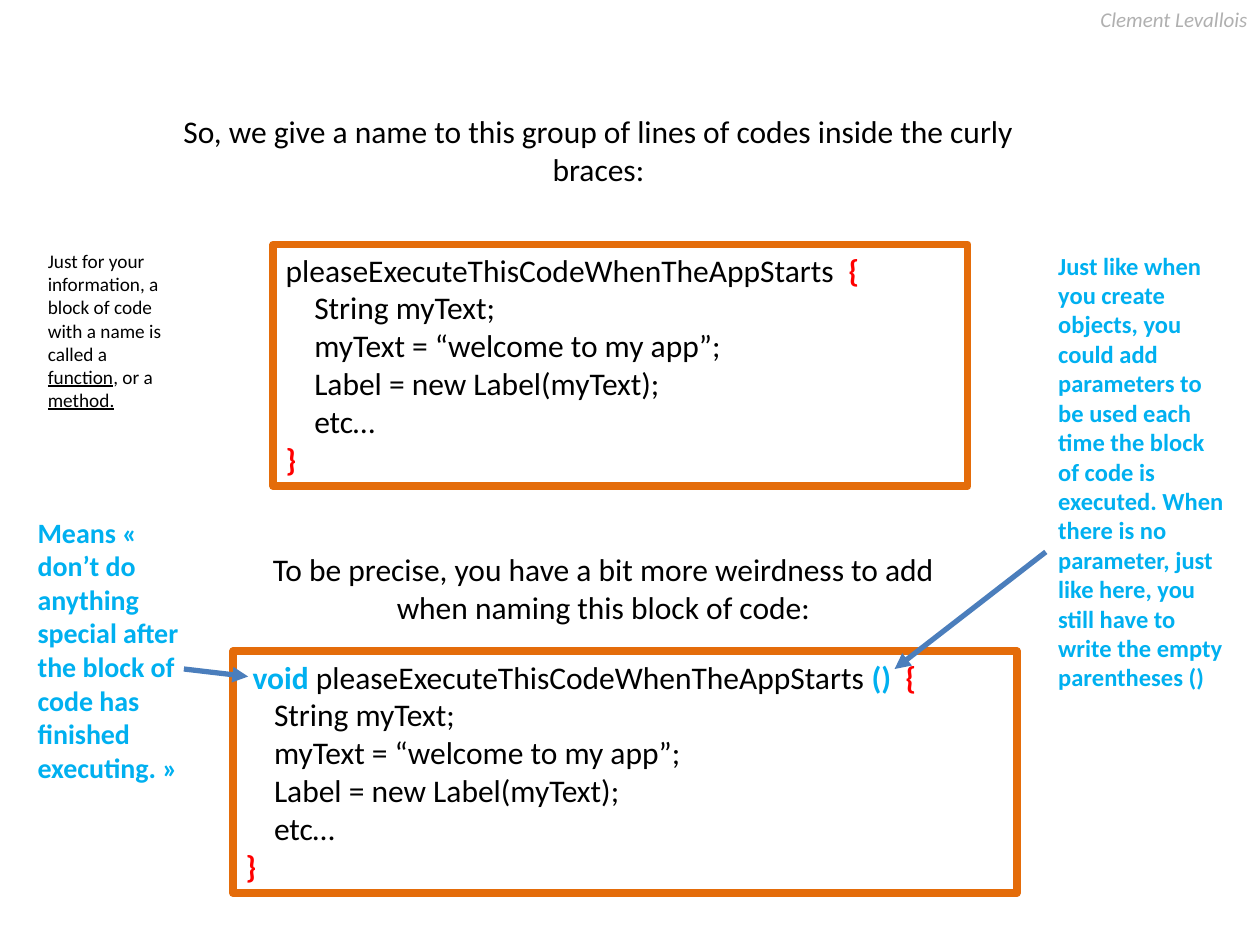
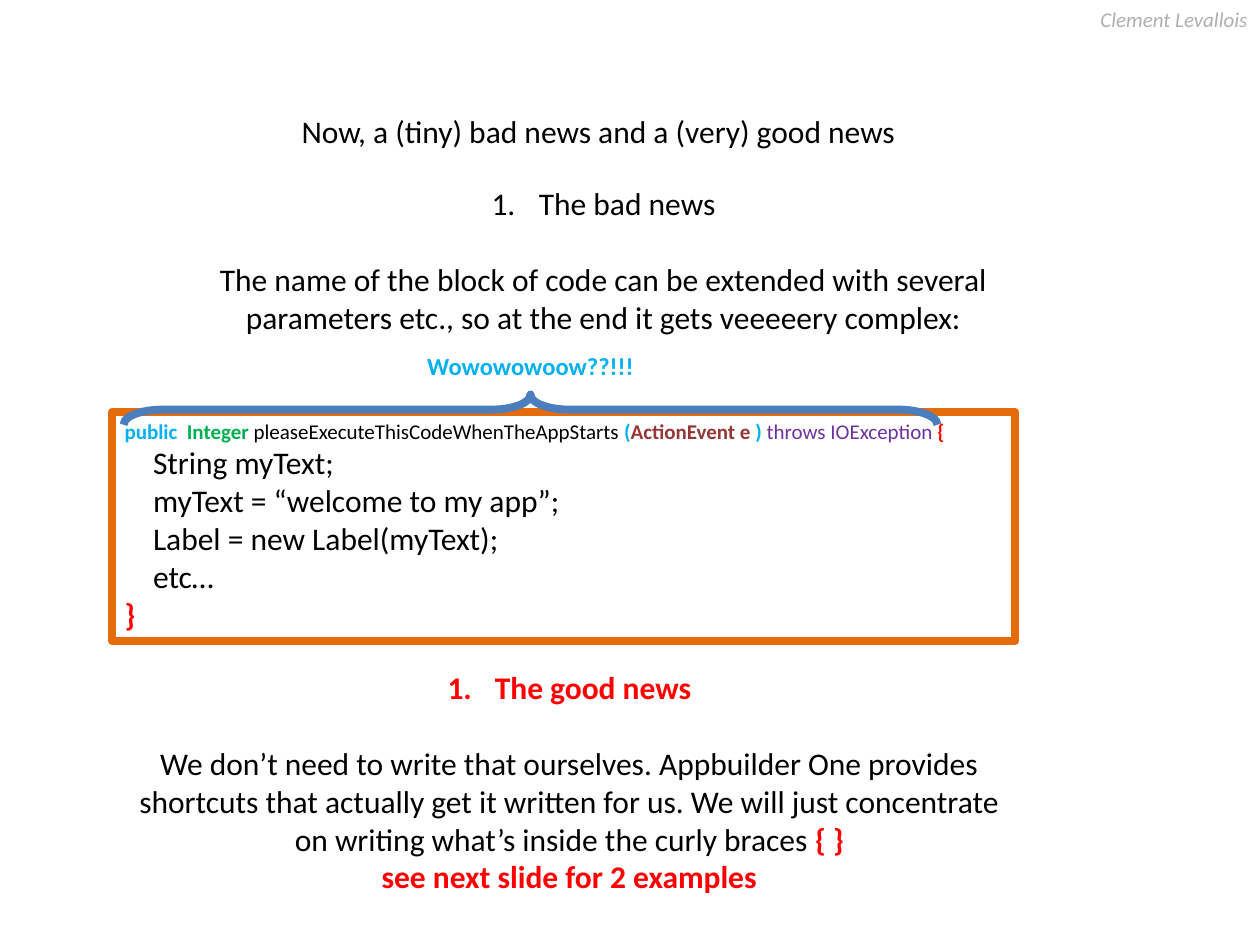
from dataclasses import dataclass

from pptx import Presentation
from pptx.dml.color import RGBColor
from pptx.enum.shapes import MSO_CONNECTOR, MSO_SHAPE
from pptx.enum.text import MSO_ANCHOR, MSO_AUTO_SIZE, PP_ALIGN
from pptx.oxml.ns import qn
from pptx.util import Pt
from lxml import etree

LEFT, CENTER, RIGHT = PP_ALIGN.LEFT, PP_ALIGN.CENTER, PP_ALIGN.RIGHT
TOP = MSO_ANCHOR.TOP
NO_AUTOSIZE = MSO_AUTO_SIZE.NONE
STRAIGHT = MSO_CONNECTOR.STRAIGHT
RECTANGLE, RIGHT_BRACE = MSO_SHAPE.RECTANGLE, MSO_SHAPE.RIGHT_BRACE

BLACK = RGBColor(0x00, 0x00, 0x00)
GREY = RGBColor(0xB0, 0xB0, 0xB0)
RED = RGBColor(0xFF, 0x00, 0x00)
ORANGE = RGBColor(0xE4, 0x6C, 0x0A)
SKY = RGBColor(0x00, 0xB0, 0xF0)
BLUE = RGBColor(0x4B, 0x7E, 0xBC)
GREEN = RGBColor(0x00, 0xB0, 0x50)
BROWN = RGBColor(0x95, 0x37, 0x35)
PURPLE = RGBColor(0x70, 0x30, 0xA0)

TITLE_ONLY = 5
CODE_INDENT = 16.3
NUMBER_INDENT = 27
BLANK_LINE = 22


@dataclass
class Run:
    text: str
    color: RGBColor = BLACK
    bold: bool = False
    italic: bool = False
    underline: bool = False


@dataclass
class Line:
    """One paragraph."""
    runs: list
    size: float = 18
    align: PP_ALIGN = CENTER
    indent: float = 0
    numbered: bool = False
    before: float = 0


CODE_BODY = [
    Line([Run(code)], align=LEFT, indent=CODE_INDENT)
    for code in (
        "String myText;",
        "myText = “welcome to my app”;",
        "Label = new Label(myText);",
        "etc…",
    )
] + [Line([Run("}", RED, bold=True)], align=LEFT)]


class Deck:
    font = "Calibri"
    frame_width = 4.5
    arrow_width = 3

    def __init__(self):
        self.presentation = Presentation()
        self.presentation.slide_width = Pt(720)
        self.presentation.slide_height = Pt(540)
        self.slide = None

    def new_slide(self, title, title_height):
        layout = self.presentation.slide_layouts[TITLE_ONLY]
        self.slide = self.presentation.slides.add_slide(layout)
        self.text(527, 0, 193, 21.8,
                  [Line([Run("Clement Levallois", GREY, italic=True)], 12, RIGHT)])
        placeholder = self.slide.shapes.title
        placeholder.left, placeholder.top = Pt(86.4), Pt(60.5)
        placeholder.width, placeholder.height = Pt(511.2), Pt(title_height)
        self.fill_text(placeholder, [Line([Run(title)])])

    def fill_text(self, shape, lines):
        frame = shape.text_frame
        frame.word_wrap = True
        frame.auto_size = NO_AUTOSIZE
        frame.vertical_anchor = TOP
        for index, line in enumerate(lines):
            paragraph = frame.add_paragraph() if index else frame.paragraphs[0]
            paragraph.alignment = line.align
            if line.before:
                paragraph.space_before = Pt(line.before)
            properties = paragraph._p.get_or_add_pPr()
            if line.indent:
                properties.set("marL", str(Pt(line.indent)))
            if line.numbered:
                properties.set("indent", str(-Pt(line.indent)))
                number = etree.SubElement(properties, qn("a:buAutoNum"))
                number.set("type", "arabicPeriod")
            for part in line.runs:
                run = paragraph.add_run()
                run.text = part.text
                run.font.name = self.font
                run.font.size = Pt(line.size)
                run.font.color.rgb = part.color
                run.font.bold = part.bold
                run.font.italic = part.italic
                run.font.underline = part.underline

    def text(self, left, top, width, height, lines):
        box = self.slide.shapes.add_textbox(Pt(left), Pt(top), Pt(width), Pt(height))
        self.fill_text(box, lines)

    def outline(self, kind, left, top, width, height, color):
        shape = self.slide.shapes.add_shape(
            kind, Pt(left), Pt(top), Pt(width), Pt(height))
        shape.shadow.inherit = False
        shape.fill.background()
        shape.line.color.rgb = color
        shape.line.width = Pt(self.frame_width)
        return shape

    def code_box(self, left, top, width, height, signature, signature_size=18):
        box = self.outline(RECTANGLE, left, top, width, height, ORANGE)
        self.fill_text(box, [Line(signature, signature_size, LEFT)] + CODE_BODY)

    def brace_above(self, left, top, width, height):
        """A right brace turned so that its tip points up."""
        shift = (width - height) / 2
        brace = self.outline(RIGHT_BRACE, left + shift, top - shift,
                             height, width, BLUE)
        brace.rotation = 270
        brace.adjustments[0] = 1.283
        brace.adjustments[1] = 0.5

    def arrow(self, start_x, start_y, end_x, end_y):
        connector = self.slide.shapes.add_connector(
            STRAIGHT, Pt(start_x), Pt(start_y), Pt(end_x), Pt(end_y))
        connector.line.color.rgb = BLUE
        connector.line.width = Pt(self.arrow_width)
        properties = connector._element.spPr
        head = etree.SubElement(properties.find(qn("a:ln")), qn("a:tailEnd"))
        head.set("type", "triangle")
        etree.SubElement(properties, qn("a:effectLst"))


def naming_slide(deck):
    deck.new_slide("So, we give a name to this group of lines of codes "
                   "inside the curly braces:", 51)
    name = "pleaseExecuteThisCodeWhenTheAppStarts "
    brace = Run("{", RED, bold=True)
    deck.code_box(156.2, 139.7, 396.7, 138.2, [Run(name + " "), brace])
    deck.text(89.3, 311, 511.2, 51, [
        Line([Run("To be precise, you have a bit more weirdness to add")]),
        Line([Run("when naming this block of code:")]),
    ])
    deck.code_box(133.2, 372.2, 447.8, 138.2, [
        Run(" "), Run("void ", SKY, bold=True), Run(name),
        Run("()  ", SKY, bold=True), brace,
    ])
    deck.arrow(105.1, 382.3, 141.8, 386.6)
    deck.text(14.4, 290.9, 101.5, 162.7, [Line([Run(
        "Means « don’t do anything special after the block of code "
        "has finished executing. »", SKY, bold=True)], 16, LEFT)])
    deck.text(597.6, 139.7, 111.6, 262, [Line([Run(
        "Just like when you create objects, you could add parameters to be "
        "used each time the block of code is executed. When there is no "
        "parameter, just like here, you still have to write the empty "
        "parentheses ()", SKY, bold=True)], 14, LEFT)])
    deck.arrow(597.6, 315.4, 511.2, 382.3)
    deck.text(20.2, 139, 90, 100.8, [Line([
        Run("Just for your information, a block of code with a name is called a "),
        Run("function", underline=True), Run(", or a "),
        Run("method.", underline=True),
    ], 11, LEFT)])


def news_slide(deck):
    deck.new_slide("Now, a (tiny) bad news and a (very) good news", 28.8)
    deck.code_box(64.1, 235.4, 516.2, 131, [
        Run("public  ", SKY, bold=True), Run("Integer ", GREEN, bold=True),
        Run("pleaseExecuteThisCodeWhenTheAppStarts "),
        Run("(", SKY, bold=True), Run("ActionEvent e", BROWN, bold=True),
        Run(" ) ", SKY, bold=True), Run("throws IOException ", PURPLE),
        Run("{", RED, bold=True),
    ], 12)
    deck.text(89.3, 101.5, 511.2, 94.3, [
        Line([Run("The bad news")], indent=NUMBER_INDENT, numbered=True),
        Line([Run("The name of the block of code can be extended with several "
                  "parameters etc., so at the end it gets veeeeery complex:")],
             before=BLANK_LINE),
    ])
    deck.text(218.2, 197.3, 169.9, 24.5,
              [Line([Run("Wowowowoow??!!!", SKY, bold=True)], 14)])
    deck.brace_above(70.6, 225.4, 465.1, 17.3)
    deck.text(69.8, 378, 511.2, 138.2, [
        Line([Run("The good news", RED, bold=True)],
             indent=NUMBER_INDENT, numbered=True),
        Line([Run("We don’t need to write that ourselves. Appbuilder One provides "
                  "shortcuts that actually get it written for us. We will just "
                  "concentrate on writing what’s inside the curly braces "),
              Run("{ }", RED, bold=True)], before=BLANK_LINE),
        Line([Run("see next slide for 2 examples", RED, bold=True)]),
    ])


def main():
    deck = Deck()
    naming_slide(deck)
    news_slide(deck)
    deck.presentation.save("out.pptx")


if __name__ == "__main__":
    main()
